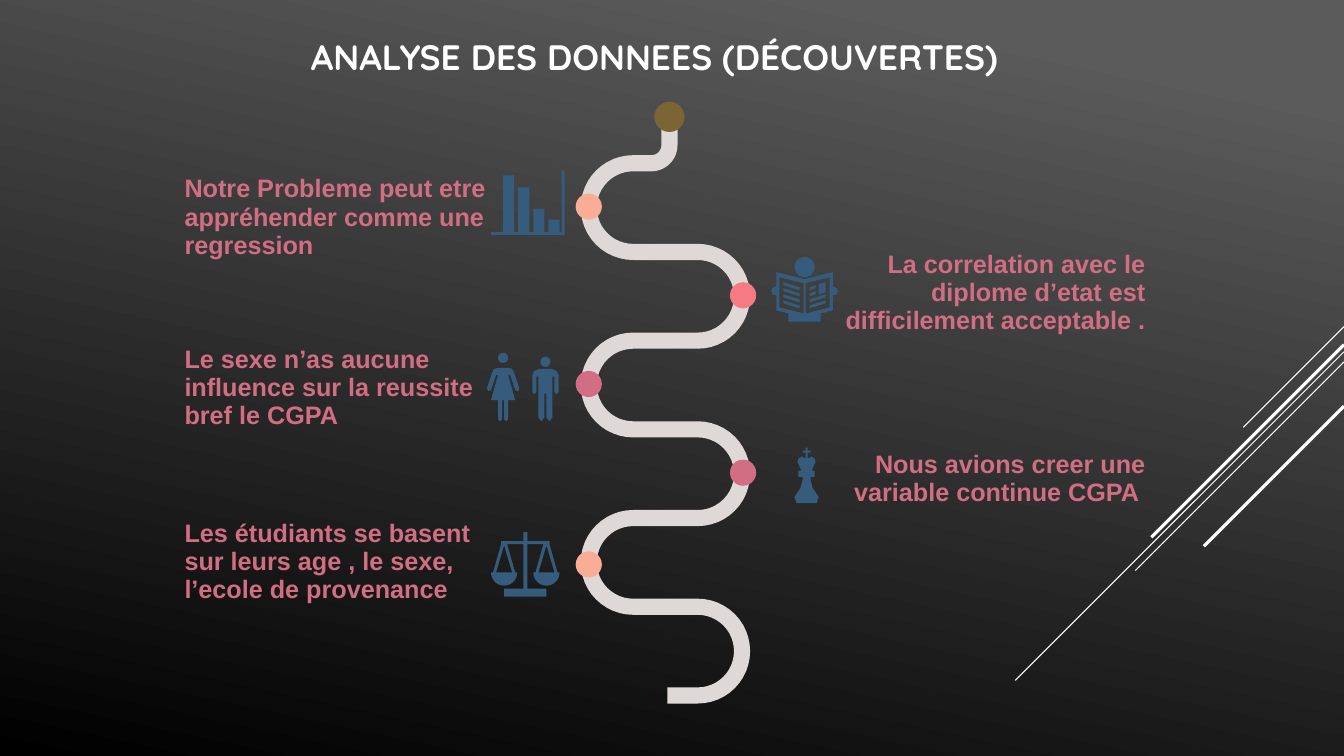
import math
from dataclasses import dataclass

import pptx
import pptx.dml.color
import pptx.enum.shapes
import pptx.enum.text
import pptx.oxml
import pptx.util
from pptx.util import Inches

ALIGN = pptx.enum.text.PP_ALIGN
SHAPE = pptx.enum.shapes.MSO_SHAPE


@dataclass(frozen=True)
class Theme:
    sky: str = "5B5B5B"
    ground: str = "000000"
    white: str = "FFFFFF"
    road: str = "DED9D7"
    start: str = "7C6535"
    peach: str = "F8AD94"
    coral: str = "F67A83"
    rose: str = "D16E83"
    icon: str = "355C7D"
    title_font: str = "Quicksand"
    body_font: str = "Arial"
    title_size: float = 25.2
    body_size: float = 18
    thin: float = 0.75
    thick: float = 2.25


THEME = Theme()
ROAD_LEFT, ROAD_RIGHT, ROAD_TOP, ROAD_PITCH, ROAD_TURNS = 6.28, 6.92, 1.62, 0.88, 6
BEAD_LEFT, BEAD_RIGHT = 5.84, 7.37

# text, left, top, alignment, bead centre, bead colour
FINDINGS = [
    ("Notre Probleme peut etre appréhender comme une regression",
     1.83, 1.74, ALIGN.LEFT, (BEAD_LEFT, 2.05), THEME.peach),
    ("La correlation avec le diplome d’etat est difficilement acceptable .",
     8.31, 2.49, ALIGN.RIGHT, (BEAD_RIGHT, 2.93), THEME.coral),
    ("Le sexe n’as aucune influence sur la reussite bref le CGPA",
     1.83, 3.43, ALIGN.LEFT, (BEAD_LEFT, 3.81), THEME.rose),
    ("Nous avions creer une variable continue CGPA ",
     8.31, 4.47, ALIGN.RIGHT, (BEAD_RIGHT, 4.69), THEME.rose),
    ("Les étudiants se basent sur leurs age , le sexe, l’ecole de provenance",
     1.83, 5.16, ALIGN.LEFT, (BEAD_LEFT, 5.6), THEME.peach),
]

# start height on the right edge, run to the lower left, weight
DIAGONALS = [(3.24, 1, THEME.thin), (3.49, 3.26, THEME.thin), (3.59, 2.07, THEME.thin),
             (3.42, 1.91, THEME.thick), (4.03, 1.39, THEME.thick)]


def rgb(colour):
    return pptx.dml.color.RGBColor.from_string(colour)


def paint(shape, colour):
    shape.fill.solid()
    shape.fill.fore_color.rgb = rgb(colour)
    shape.line.fill.background()
    shape.shadow.inherit = False


def arc(x, y, radius, start, end, steps=24):
    """Points on an arc; degrees grow clockwise from the right."""
    angles = [math.radians(start + (end - start) * i / steps) for i in range(steps + 1)]
    return [(x + radius * math.cos(a), y + radius * math.sin(a)) for a in angles]


def rectangle(left, top, right, bottom):
    return [(left, top), (right, top), (right, bottom), (left, bottom)]


def symmetric(axis, half):
    """Outline whose right half is given as (distance from axis, y)."""
    return [(axis + x, y) for x, y in half] + [(axis - x, y) for x, y in reversed(half)]


def both_sides(axis, outline):
    return [[(axis + side * x, y) for x, y in outline] for side in (-1, 1)]


def add_outline(slide, contours, colour):
    """One filled freeform; contours inside others become holes."""
    builder = None
    for contour in contours:
        first, *others = [(Inches(x), Inches(y)) for x, y in contour]
        if builder is None:
            builder = slide.shapes.build_freeform(*first)
        else:
            builder.move_to(*first)
        builder.add_line_segments(others, close=True)
    paint(builder.convert_to_shape(), colour)


def add_disc(slide, centre, radius, colour):
    x, y = centre
    disc = slide.shapes.add_shape(SHAPE.OVAL, Inches(x - radius), Inches(y - radius),
                                  Inches(2 * radius), Inches(2 * radius))
    paint(disc, colour)


def add_text(slide, text, place, font, size, colour, align, spacing=None):
    box = slide.shapes.add_textbox(*(Inches(length) for length in place))
    frame = box.text_frame
    frame.word_wrap = True
    para = frame.paragraphs[0]
    para.alignment = align
    if spacing:
        para.line_spacing = spacing
    span = para.add_run()
    span.text = text
    span.font.name, span.font.size, span.font.bold = font, pptx.util.Pt(size), True
    span.font.color.rgb = rgb(colour)
    return frame


def add_diagonal(slide, top, run, weight):
    line = slide.shapes.add_connector(
        pptx.enum.shapes.MSO_CONNECTOR.STRAIGHT,
        Inches(13.33), Inches(top), Inches(13.33 - run), Inches(top + run))
    line.line.color.rgb = rgb(THEME.white)
    line.line.width = pptx.util.Pt(weight)
    line._element.spPr.append(pptx.oxml.parse_xml(
        '<a:effectLst xmlns:a="http://schemas.openxmlformats.org/drawingml/2006/main"/>'))


def road_edge(offset):
    """Edge of the winding road, offset to the right of the way down."""
    points = [(6.64 - offset, 1.18)] + arc(6.46, 1.44, 0.18 - offset, 0, 90)
    radius = ROAD_PITCH / 2
    for turn in range(ROAD_TURNS):
        y = ROAD_TOP + radius + turn * ROAD_PITCH
        if turn % 2 == 0:
            points += arc(ROAD_LEFT, y, radius + offset, 270, 90)
        else:
            points += arc(ROAD_RIGHT, y, radius - offset, 270, 450)
    return points + [(6.62, ROAD_TOP + ROAD_TURNS * ROAD_PITCH - offset)]


def add_bars_icon(slide):
    bars = [rectangle(4.99 + 0.15 * i, top, 5.1 + 0.15 * i, 2.3)
            for i, top in enumerate([1.74, 1.86, 2.07, 2.18])]
    axes = [rectangle(4.87, 2.3, 5.57, 2.33), rectangle(5.57, 1.69, 5.6, 2.33)]
    add_outline(slide, bars + axes, THEME.icon)


def add_people_icon(slide):
    woman = [(0.05, 3.65), (0.09, 3.66), (0.11, 3.7), (0.16, 3.85), (0.15, 3.88),
             (0.12, 3.87), (0.07, 3.72), (0.05, 3.72), (0.12, 3.97), (0.05, 3.97),
             (0.05, 4.16), (0.03, 4.18), (0.01, 4.16), (0.01, 3.97)]
    man = [(0.06, 3.66), (0.11, 3.68), (0.13, 3.72), (0.13, 3.89), (0.11, 3.91),
           (0.09, 3.89), (0.09, 3.74), (0.08, 3.73), (0.07, 3.74), (0.07, 4.14),
           (0.04, 4.18), (0.01, 4.14), (0.01, 3.91), (0, 3.9)]
    for axis, body, head in [(4.99, woman, 3.55), (5.41, man, 3.59)]:
        add_outline(slide, [symmetric(axis, body), arc(axis, head, 0.05, 0, 360)], THEME.icon)


def add_king_icon(slide):
    king = [(0.01, 4.44), (0.01, 4.47), (0.04, 4.47), (0.04, 4.49), (0.01, 4.49),
            (0.01, 4.55), (0.05, 4.53), (0.08, 4.55), (0.09, 4.58), (0.05, 4.67),
            (0.08, 4.67), (0.08, 4.73), (0.04, 4.73), (0.04, 4.76), (0.06, 4.84),
            (0.12, 4.93), (0.1, 4.99)]
    add_outline(slide, [symmetric(8, king)], THEME.icon)


def add_reader_icon(slide):
    axis = 7.98

    def stripe(near, far, top, rise, height=0.03):
        return [(axis + near, top), (axis + far, top - rise),
                (axis + far, top - rise + height), (axis + near, top + height)]

    cover = [(0, 2.77), (0.28, 2.7), (0.28, 2.84), (0.32, 2.86), (0.33, 2.89), (0.32, 2.92),
             (0.28, 2.93), (0.28, 3.08), (0.16, 3.11), (0.16, 3.19)]
    pages = both_sides(axis, [(0.01, 2.81), (0.25, 2.75), (0.25, 3.05), (0.01, 3.11)])
    tops = [2.85, 2.91, 2.97, 3.03]
    lines = [stripe(-0.05, -0.21, top, 0.05) for top in tops]
    lines += [stripe(0.05, 0.11, top, 0.02) for top in tops[:2]]
    lines += [stripe(0.05, 0.21, top, 0.05) for top in tops[2:]]
    add_outline(slide, [symmetric(axis, cover), *pages, *lines,
                        stripe(0.14, 0.21, 2.82, 0.02, 0.1),
                        arc(axis, 2.65, 0.1, 0, 360)], THEME.icon)


def add_scales_icon(slide):
    axis = 5.21
    stand = [(0.02, 5.28), (0.02, 5.37), (0.24, 5.37), (0.24, 5.4), (0.02, 5.4),
             (0.02, 5.84), (0.21, 5.84), (0.21, 5.92)]
    pan = [(0.18, 5.4), (0.1, 5.68)] + arc(0.21, 5.68, 0.13, 180, 0) + [(0.32, 5.68), (0.24, 5.4)]
    gap = [(0.21, 5.41), (0.13, 5.68), (0.29, 5.68)]
    add_outline(slide, [symmetric(axis, stand), *both_sides(axis, pan),
                        *both_sides(axis, gap)], THEME.icon)


def set_background(slide):
    fill = slide.background.fill
    fill.gradient()
    fill.gradient_angle = 258
    for stop, colour, position in zip(fill.gradient_stops, (THEME.sky, THEME.ground), (0.1, 1)):
        stop.color.rgb = rgb(colour)
        stop.position = position


def main():
    deck = pptx.Presentation()
    deck.slide_width, deck.slide_height = Inches(13.33), Inches(7.5)
    slide = deck.slides.add_slide(deck.slide_layouts[6])
    set_background(slide)
    for diagonal in DIAGONALS:
        add_diagonal(slide, *diagonal)
    add_outline(slide, [road_edge(0.08) + road_edge(-0.08)[::-1]], THEME.road)
    add_disc(slide, (6.64, 1.16), 0.15, THEME.start)
    for text, left, top, align, bead, colour in FINDINGS:
        add_disc(slide, bead, 0.13, colour)
        frame = add_text(slide, text, (left, top, 3.05, 1.13), THEME.body_font,
                         THEME.body_size, THEME.rose, align, 0.93)
        frame.margin_left = frame.margin_top = frame.margin_right = frame.margin_bottom = 0
    for add_icon in (add_bars_icon, add_reader_icon, add_people_icon,
                     add_king_icon, add_scales_icon):
        add_icon(slide)
    title = add_text(slide, "ANALYSE DES DONNEES (DÉCOUVERTES)", (2.87, 0.18, 7.24, 0.76),
                     THEME.title_font, THEME.title_size, THEME.white, ALIGN.CENTER)
    title.vertical_anchor = pptx.enum.text.MSO_ANCHOR.MIDDLE
    deck.save("out.pptx")


if __name__ == "__main__":
    main()
